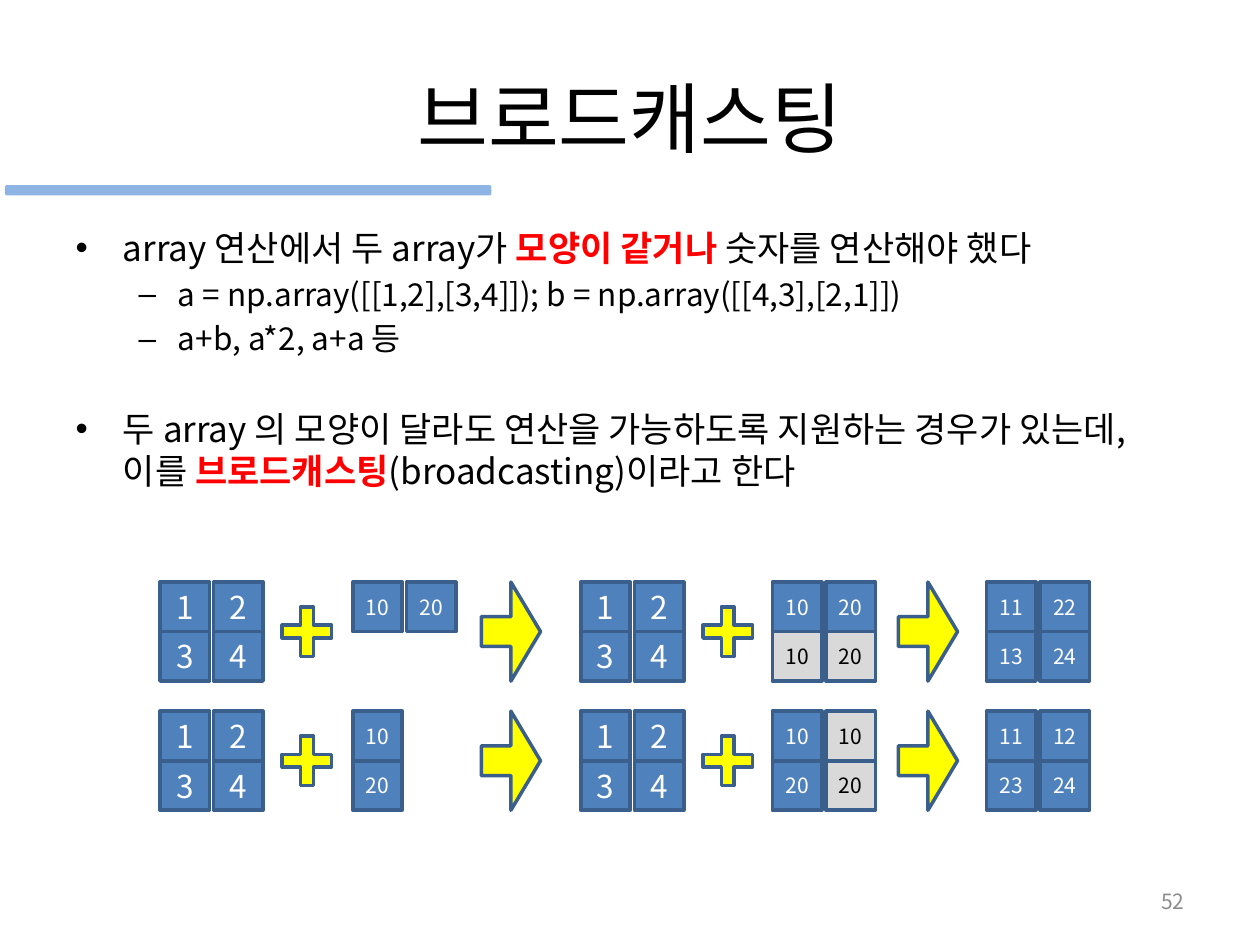
from itertools import product

from lxml.etree import SubElement
from pptx import Presentation
from pptx.dml.color import RGBColor
from pptx.enum.shapes import MSO_SHAPE
from pptx.enum.text import MSO_ANCHOR, PP_ALIGN
from pptx.oxml.ns import qn
from pptx.util import Inches, Pt

COLORS = {"ink": "000000", "accent": "FF0000", "cell": "4F81BD", "edge": "3A5F8C",
          "paper": "FFFFFF", "stretched": "D9D9D9", "sign": "FFFF00",
          "rule": "8EB4E3", "number": "8C8C8C"}
FONT = "Noto Sans CJK KR"
UNIT = 0.1  # the slide is a grid of 100 columns by 75 rows


def grid(count):
    return Inches(count * UNIT)


class Deck:
    """Holds the style and the current slide."""

    def __init__(self):
        self.deck = Presentation()
        self.deck.slide_width, self.deck.slide_height = grid(100), grid(75)
        self.slide = self.deck.slides.add_slide(self.deck.slide_layouts[1])

    def place(self, element, box):
        for side, length in zip(("left", "top", "width", "height"), box):
            setattr(element, side, grid(length))

    def add_words(self, paragraph, text, size, color="ink", bold=False):
        run = paragraph.add_run()
        run.text = text
        style = {"name": FONT, "size": Pt(size), "bold": bold}
        for key, value in style.items():
            setattr(run.font, key, value)
        run.font.color.rgb = RGBColor.from_string(COLORS[color])
        SubElement(run._r.get_or_add_rPr(), qn("a:ea"), typeface=FONT)

    def title(self, text, box, size):
        heading = self.slide.shapes.title
        self.place(heading, box)
        self.add_words(heading.text_frame.paragraphs[0], text, size)

    def bullets(self, items, box, sizes):
        body = self.slide.placeholders[1]
        self.place(body, box)
        frame = body.text_frame
        for index, (level, gap, parts) in enumerate(items):
            paragraph = frame.add_paragraph() if index else frame.paragraphs[0]
            paragraph.level = level
            if gap:
                paragraph.space_before = Pt(gap)
            for text, strong in parts:
                self.add_words(paragraph, text, sizes[level],
                               "accent" if strong else "ink", strong)

    def shape(self, kind, box, fill, edge=None, adjust=()):
        form = self.slide.shapes.add_shape(kind, *map(grid, box))
        form.shadow.inherit = False
        form.fill.solid()
        form.fill.fore_color.rgb = RGBColor.from_string(COLORS[fill])
        if edge:
            form.line.color.rgb = RGBColor.from_string(COLORS[edge])
            form.line.width = Pt(2)
        else:
            form.line.fill.background()
        for index, value in enumerate(adjust):
            form.adjustments[index] = value
        return form

    def label(self, holder, text, size, color, align):
        frame = holder.text_frame
        frame.word_wrap = True
        frame.vertical_anchor = MSO_ANCHOR.MIDDLE
        frame.paragraphs[0].alignment = align
        self.add_words(frame.paragraphs[0], text, size, color)
        return frame

    def matrix(self, left, top, rows, size, stretched=()):
        """Draws a grid of cells; stretched lists the (row, column) copies."""
        for row, column in product(range(len(rows)), range(len(rows[0]))):
            copied = (row, column) in stretched
            box = (left + column * COLUMN_STEP, top + row * CELL, CELL, CELL)
            cell = self.shape(MSO_SHAPE.RECTANGLE, box,
                              "stretched" if copied else "cell", "edge")
            frame = self.label(cell, str(rows[row][column]), size,
                               "ink" if copied else "paper", PP_ALIGN.CENTER)
            for side in ("left", "right", "top", "bottom"):
                setattr(frame, "margin_" + side, 0)

    def number(self, text, box):
        holder = self.slide.shapes.add_textbox(*map(grid, box))
        self.label(holder, text, 12, "number", PP_ALIGN.RIGHT)


CELL, COLUMN_STEP = 3.93, 4.25
lesson = Deck()

# Heading and explanation: (level, space before, [(text, emphasised)])
lesson.title("브로드캐스팅", (5, 3, 90, 12.5), 44)
lesson.bullets([
    (0, None, [("array 연산에서 두 array가 ", False), ("모양이 같거나", True),
               (" 숫자를 연산해야 했다", False)]),
    (1, None, [("a = np.array([[1,2],[3,4]]); b = np.array([[4,3],[2,1]])", False)]),
    (1, None, [("a+b, a*2, a+a 등", False)]),
    (0, 29, [("두 array 의 모양이 달라도 연산을 가능하도록 지원하는 경우가 있는데, 이를 ", False),
             ("브로드캐스팅", True), ("(broadcasting)이라고 한다", False)]),
], (5, 17.5, 90, 49.5), {0: 20, 1: 18})

# Broadcasting examples: operand, stretched operand, its copied cells, sum
BASE = [[1, 2], [3, 4]]
EXAMPLES = [
    ([[10, 20]], [[10, 20], [10, 20]], {(1, 0), (1, 1)}, [[11, 22], [13, 24]]),
    ([[10], [20]], [[10, 10], [20, 20]], {(0, 1), (1, 1)}, [[11, 12], [23, 24]]),
]
FIRST_TOP, EXAMPLE_STEP = 46.2, 10.25
BASE_LEFTS, OPERAND_LEFTS, ARROW_LEFTS = (12.7, 46.1), (28, 61.3), (38.2, 71.3)
PLUS_OFFSET, RESULT_LEFT = 9.7, 78.3

for index, (operand, widened, copies, total) in enumerate(EXAMPLES):
    top = FIRST_TOP + index * EXAMPLE_STEP
    for base_left, arrow_left in zip(BASE_LEFTS, ARROW_LEFTS):
        lesson.matrix(base_left, top, BASE, 18)
        lesson.shape(MSO_SHAPE.CROSS,
                     (base_left + PLUS_OFFSET, top + CELL / 2, CELL, CELL),
                     "sign", "edge", [0.37])
        lesson.shape(MSO_SHAPE.RIGHT_ARROW, (arrow_left, top, 4.7, 2 * CELL),
                     "sign", "edge", [0.3, 0.5])
    lesson.matrix(OPERAND_LEFTS[0], top, operand, 12)
    lesson.matrix(OPERAND_LEFTS[1], top, widened, 12, copies)
    lesson.matrix(RESULT_LEFT, top, total, 12)

# Title rule and page number
lesson.shape(MSO_SHAPE.ROUNDED_RECTANGLE, (0.4, 14.7, 38.6, 0.8), "rule")
lesson.number("52", (71.7, 69.5, 23.3, 4))

lesson.deck.save("out.pptx")
